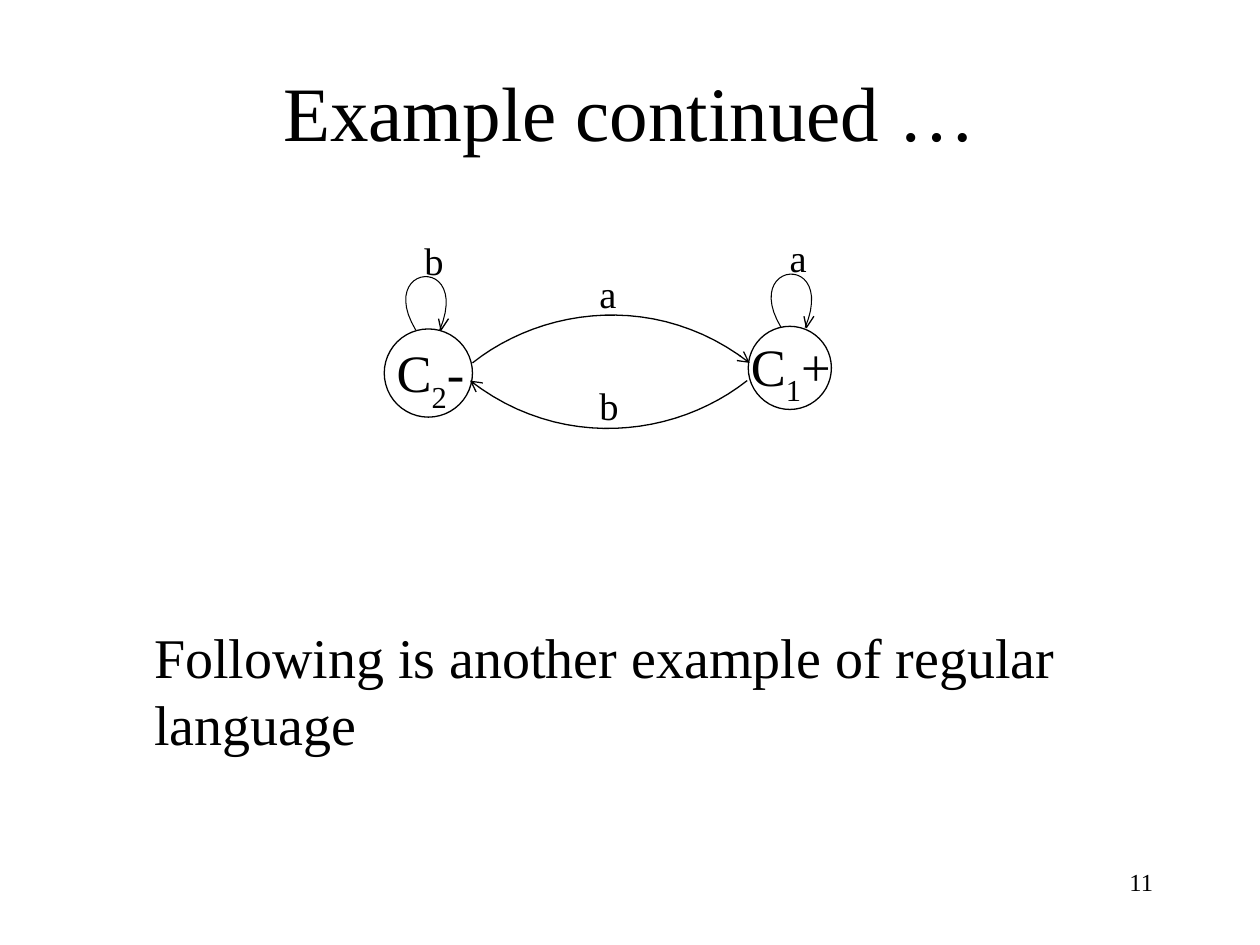
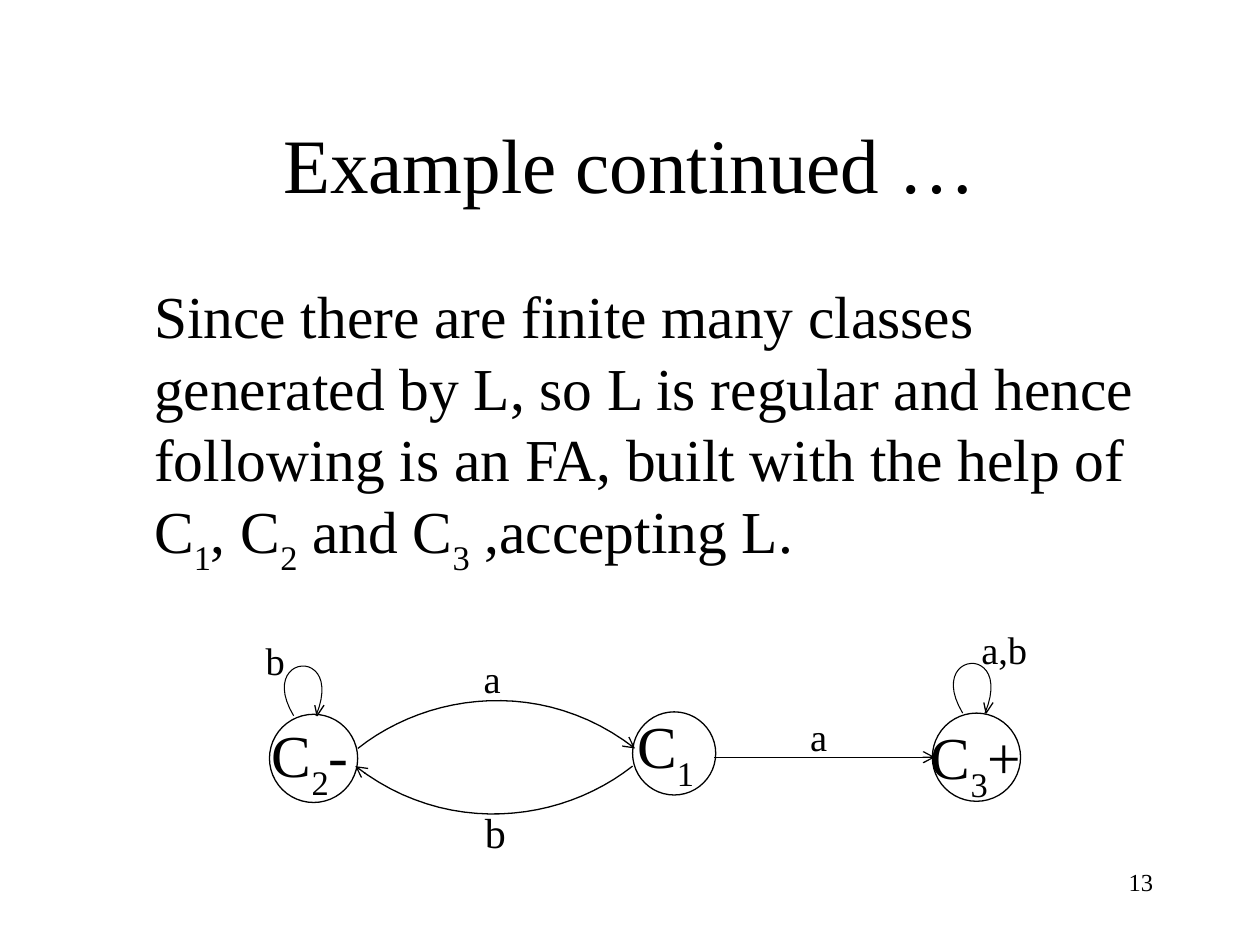
from dataclasses import dataclass

from lxml.etree import SubElement
from pptx import Presentation
from pptx.dml.color import RGBColor
from pptx.enum.shapes import MSO_CONNECTOR, MSO_SHAPE
from pptx.enum.text import MSO_ANCHOR, PP_ALIGN
from pptx.oxml.ns import qn
from pptx.util import Pt

FONT = "Times New Roman"
INK = "000000"
PAPER = "FFFFFF"
TITLE = "Example continued …"
INSETS = {"margin_left": 7.2, "margin_right": 7.2, "margin_top": 3.6, "margin_bottom": 3.6}
ARC = [(0, 0), (41, -32.4), (106.6, -40.3), (158.4, 0)]
RETURN_START = (157, 10.1)
LOOP = [(0, 0), (-23, -38.2), (31.7, -43.2), (13.7, 0)]
LOOP_HEAD = [(18.7, -6.5), (14.4, 0), (13, -6.5)]
CURVE_STEPS = 24

Point = tuple[float, float]


@dataclass
class Label:
    """Text at a place; an underscore lowers the character after it."""
    text: str
    left: float
    top: float
    size: float = 22
    width: float = 78
    height: float = 30
    align: PP_ALIGN = PP_ALIGN.LEFT


@dataclass
class State:
    """Circle of an automaton with its name."""
    left: float
    top: float
    diameter: float
    name: Label


@dataclass
class Lecture:
    """Content of one slide."""
    number: str
    title_top: float
    body: Label
    states: list[State]
    arcs: Point
    loops: list[Point]
    loop_scale: float
    labels: list[Label]
    links: list[tuple[Point, Point]]


LECTURES = [
    Lecture(
        "11", 18,
        Label("Following is another example of regular language", 81, 352, 32, 585, 90),
        [State(219.6, 188, 50.4, Label("C_2-", 219.6, 190.8, 30)),
         State(427.6, 186.5, 47.5, Label("C_1+", 422, 187.2, 30))],
        (270, 207.4), [(237.6, 188.6), (446.4, 187.2)], 1,
        [Label("b", 335.5, 214.6), Label("a", 335.5, 150.5),
         Label("a", 444.2, 130.3), Label("b", 235.4, 131.8)],
        [],
    ),
    Lecture(
        "13", 48,
        Label("Since there are finite many classes generated by L, so L is regular and hence "
              "following is an FA, built with the help of C_1, C_2 and C_3 ,accepting L.",
              81, 156.2, 34, 585, 180),
        [State(154, 408.2, 50.4, Label("C_2-", 148.3, 406.8, 34)),
         State(361.5, 406.8, 47.5, Label("C_1", 357.1, 401.8, 34)),
         State(532.8, 407.5, 50.4, Label("C_3+", 524.9, 408.2, 34))],
        (204.5, 427.7), [(167.8, 409), (550.1, 407.5)], 0.93,
        [Label("a,b", 553.7, 354.2), Label("a", 269.3, 370.8), Label("b", 144.7, 360.7),
         Label("a", 455.8, 403.9), Label("b", 270, 457.2, 24)],
        [((408.2, 432.7), (534.2, 432.7))],
    ),
]


def color(value: str) -> RGBColor:
    """Turn a hex string into a colour."""
    return RGBColor.from_string(value)


def apply(target, values: dict) -> None:
    """Set attributes from a dict of format values."""
    for name, value in values.items():
        setattr(target, name, value)


def write(shape, label: Label, anchor: MSO_ANCHOR = MSO_ANCHOR.TOP) -> None:
    """Fill a shape with formatted text."""
    frame = shape.text_frame
    apply(frame, {name: Pt(value) for name, value in INSETS.items()})
    apply(frame, {"word_wrap": True, "vertical_anchor": anchor})
    para = frame.paragraphs[0]
    para.alignment = label.align
    first, *rest = label.text.split("_")
    pieces = [(first, False)]
    for piece in rest:
        pieces += [(piece[0], True), (piece[1:], False)]
    for text, lowered in pieces:
        if not text:
            continue
        span = para.add_run()
        span.text = text
        apply(span.font, {"name": FONT, "size": Pt(label.size)})
        span.font.color.rgb = color(INK)
        if lowered:
            span._r.get_or_add_rPr().set("baseline", "-30000")


def add_label(page, label: Label) -> None:
    """Add a text box."""
    box = page.shapes.add_textbox(*map(Pt, (label.left, label.top, label.width, label.height)))
    write(box, label)


def style_line(shape, width: float, arrow: bool = False) -> None:
    """Draw a plain outline, with an arrowhead at its end if asked."""
    shape.line.color.rgb = color(INK)
    shape.line.width = Pt(width)
    if arrow:
        line = shape._element.spPr.get_or_add_ln()
        SubElement(line, qn("a:tailEnd"), type="arrow")


def place(points: list[Point], origin: Point, scale: float = 1) -> list[Point]:
    """Scale points and move them to an origin."""
    return [(origin[0] + scale * x, origin[1] + scale * y) for x, y in points]


def bend(controls: list[Point]) -> list[Point]:
    """Sample a cubic curve."""
    points = []
    for step in range(CURVE_STEPS + 1):
        t = step / CURVE_STEPS
        weights = ((1 - t) ** 3, 3 * t * (1 - t) ** 2, 3 * t ** 2 * (1 - t), t ** 3)
        points.append(tuple(sum(w * c[axis] for w, c in zip(weights, controls))
                            for axis in (0, 1)))
    return points


def add_stroke(page, points: list[Point], width: float = 0.75, arrow: bool = False) -> None:
    """Add an open outline through points."""
    start, *others = [(Pt(x), Pt(y)) for x, y in points]
    builder = page.shapes.build_freeform(*start)
    builder.add_line_segments(others, close=False)
    stroke = builder.convert_to_shape()
    stroke.shadow.inherit = False
    stroke.fill.background()
    style_line(stroke, width, arrow)


def add_state(page, state: State) -> None:
    """Add a circle and its name."""
    circle = page.shapes.add_shape(
        MSO_SHAPE.OVAL, *map(Pt, (state.left, state.top, state.diameter, state.diameter)))
    circle.shadow.inherit = False
    circle.fill.solid()
    circle.fill.fore_color.rgb = color(PAPER)
    style_line(circle, 0.75)
    add_label(page, state.name)


def add_link(page, start: Point, end: Point) -> None:
    """Add a straight arrow."""
    link = page.shapes.add_connector(MSO_CONNECTOR.STRAIGHT, *map(Pt, (*start, *end)))
    style_line(link, 0.75, arrow=True)
    SubElement(link._element.spPr, qn("a:effectLst"))


def add_lecture(deck, lecture: Lecture) -> None:
    """Build one slide."""
    page = deck.slides.add_slide(deck.slide_layouts[5])
    title = page.shapes.title
    apply(title, {"left": Pt(54), "top": Pt(lecture.title_top),
                  "width": Pt(612), "height": Pt(90)})
    write(title, Label(TITLE, 54, lecture.title_top, 44, align=PP_ALIGN.CENTER),
          MSO_ANCHOR.MIDDLE)
    add_label(page, lecture.body)
    for state in lecture.states:
        add_state(page, state)
    add_stroke(page, bend(place(ARC, lecture.arcs)), arrow=True)
    back = place([RETURN_START], lecture.arcs)[0]
    add_stroke(page, bend(place(ARC, back, -1)), arrow=True)
    for origin in lecture.loops:
        add_stroke(page, bend(place(LOOP, origin, lecture.loop_scale)), 0.6)
        add_stroke(page, place(LOOP_HEAD, origin, lecture.loop_scale))
    for start, end in lecture.links:
        add_link(page, start, end)
    for label in lecture.labels:
        add_label(page, label)
    add_label(page, Label(lecture.number, 516.2, 491.8, 14, 149.8, 36, PP_ALIGN.RIGHT))


def main() -> None:
    """Build and save the deck."""
    deck = Presentation()
    apply(deck, {"slide_width": Pt(720), "slide_height": Pt(540)})
    for lecture in LECTURES:
        add_lecture(deck, lecture)
    deck.save("out.pptx")


if __name__ == "__main__":
    main()
